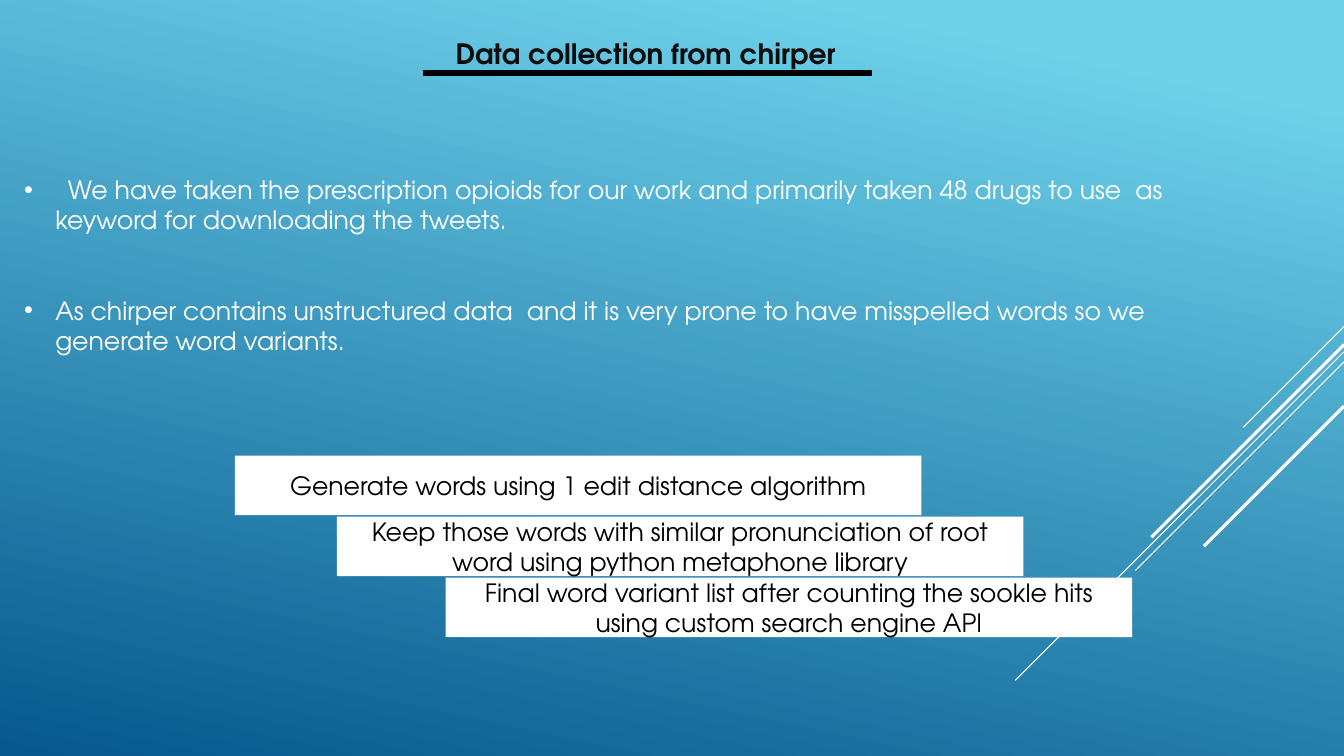
import pptx
import pptx.dml.color
import pptx.enum.shapes
import pptx.enum.text
import pptx.oxml
import pptx.util
from pptx.util import Inches

FONT = "TeX Gyre Adventor"
WHITE, BLACK = "FFFFFF", "000000"
ALIGN = pptx.enum.text.PP_ALIGN
ANCHOR = pptx.enum.text.MSO_ANCHOR
RECTANGLE = pptx.enum.shapes.MSO_SHAPE.RECTANGLE


def colour(value):
    """Turn a hex string into a colour."""
    return pptx.dml.color.RGBColor.from_string(value)


def write(frame, paragraphs, size=18, fill=WHITE, bold=False, align=ALIGN.LEFT,
          anchor=ANCHOR.TOP, bullet=None, gap=0):
    """Fill a text frame with formatted paragraphs."""
    frame.word_wrap = True
    frame.vertical_anchor = anchor
    for index, text in enumerate(paragraphs):
        paragraph = frame.add_paragraph() if index else frame.paragraphs[0]
        paragraph.alignment = align
        paragraph.space_before = pptx.util.Pt(gap if index else 0)
        if bullet:
            properties = paragraph._p.get_or_add_pPr()
            properties.set("marL", str(Inches(0.31)))
            properties.set("indent", str(Inches(-0.31)))
            for tag, name, value in (("buFont", "typeface", "Arial"),
                                     ("buChar", "char", bullet)):
                mark = pptx.oxml.ns.qn(f"a:{tag}")
                properties.makeelement(mark)
                pptx.oxml.xmlchemy.OxmlElement(f"a:{tag}")
                element = properties.makeelement(mark, {name: value})
                properties.append(element)
        run = paragraph.add_run()
        run.text = text
        run.font.name = FONT
        run.font.size = pptx.util.Pt(size)
        run.font.bold = bold
        run.font.color.rgb = colour(fill)


def add_block(slide, left, top, width, height, fill):
    """Add a plain filled rectangle."""
    block = slide.shapes.add_shape(
        RECTANGLE, Inches(left), Inches(top), Inches(width), Inches(height))
    block.shadow.inherit = False
    block.fill.solid()
    block.fill.fore_color.rgb = colour(fill)
    block.line.fill.background()
    return block


def add_backdrop(slide):
    """Shade the background from light to deep blue."""
    fill = slide.background.fill
    fill.gradient()
    fill.gradient_angle = 360 - 102
    shades = ((0.1, "6ED2EB"), (1, "06588E"))
    for stop, (position, shade) in zip(fill.gradient_stops, shades):
        stop.position = position
        stop.color.rgb = colour(shade)


def add_rays(slide, right, rays):
    """Draw 45-degree rays running down and left from the right edge."""
    for top, reach, weight in rays:
        ray = slide.shapes.add_connector(
            pptx.enum.shapes.MSO_CONNECTOR.STRAIGHT, Inches(right), Inches(top),
            Inches(right - reach), Inches(top + reach))
        ray.line.color.rgb = colour(WHITE)
        ray.line.width = pptx.util.Pt(weight)
        properties = ray._element.spPr
        properties.append(properties.makeelement(pptx.oxml.ns.qn("a:effectLst")))


def add_heading(slide, left, top, width, height, text):
    """Write the heading with a heavy rule under it."""
    heading = slide.shapes.add_textbox(
        Inches(left), Inches(top), Inches(width), Inches(height))
    write(heading.text_frame, [text], size=20, fill="0D0D0D", bold=True)
    rule = add_block(slide, left - 0.22, top + 0.39, width + 0.44, 0.05, BLACK)
    rule.line.color.rgb = colour(BLACK)
    rule.line.width = pptx.util.Pt(1.25)


def add_points(slide, left, top, width, height, points):
    """Write the bulleted points."""
    box = slide.shapes.add_textbox(
        Inches(left), Inches(top), Inches(width), Inches(height))
    write(box.text_frame, points, bullet="\u2022", gap=43)


def add_steps(slide, left, top, width, height, steps):
    """Stack the steps, each shifted right by its own offset."""
    for row, (shift, text) in enumerate(steps):
        step = add_block(slide, left + shift, top + row * (height + 0.015),
                         width, height, WHITE)
        write(step.text_frame, [text], fill=BLACK, align=ALIGN.CENTER,
              anchor=ANCHOR.MIDDLE)


def build():
    """Build and save the presentation."""
    deck = pptx.Presentation()
    deck.slide_width, deck.slide_height = Inches(13.33), Inches(7.5)
    slide = deck.slides.add_slide(deck.slide_layouts[6])
    add_backdrop(slide)
    add_rays(slide, 13.33, [(3.24, 1, 0.75), (3.49, 3.26, 0.75),
                            (3.59, 2.07, 0.75), (3.42, 1.91, 2.25),
                            (4.03, 1.39, 2.25)])
    add_heading(slide, 4.42, 0.31, 4, 0.44, "Data collection from chirper")
    add_points(slide, 0.14, 1.68, 12.29, 2.22, [
        "\u2002We have taken the prescription opioids for our work and primarily "
        "taken 48 drugs to use  as keyword for downloading the tweets.",
        "As chirper contains unstructured data  and it is very prone to have "
        "misspelled words so we generate word variants."])
    add_steps(slide, 2.33, 4.52, 6.81, 0.59, [
        (0, "Generate words using 1 edit distance algorithm"),
        (1.01, "Keep those words with similar pronunciation of root word "
               "using python metaphone library"),
        (2.09, "Final word variant list after counting the sookle hits "
               "using custom search engine API")])
    deck.save("out.pptx")


build()
